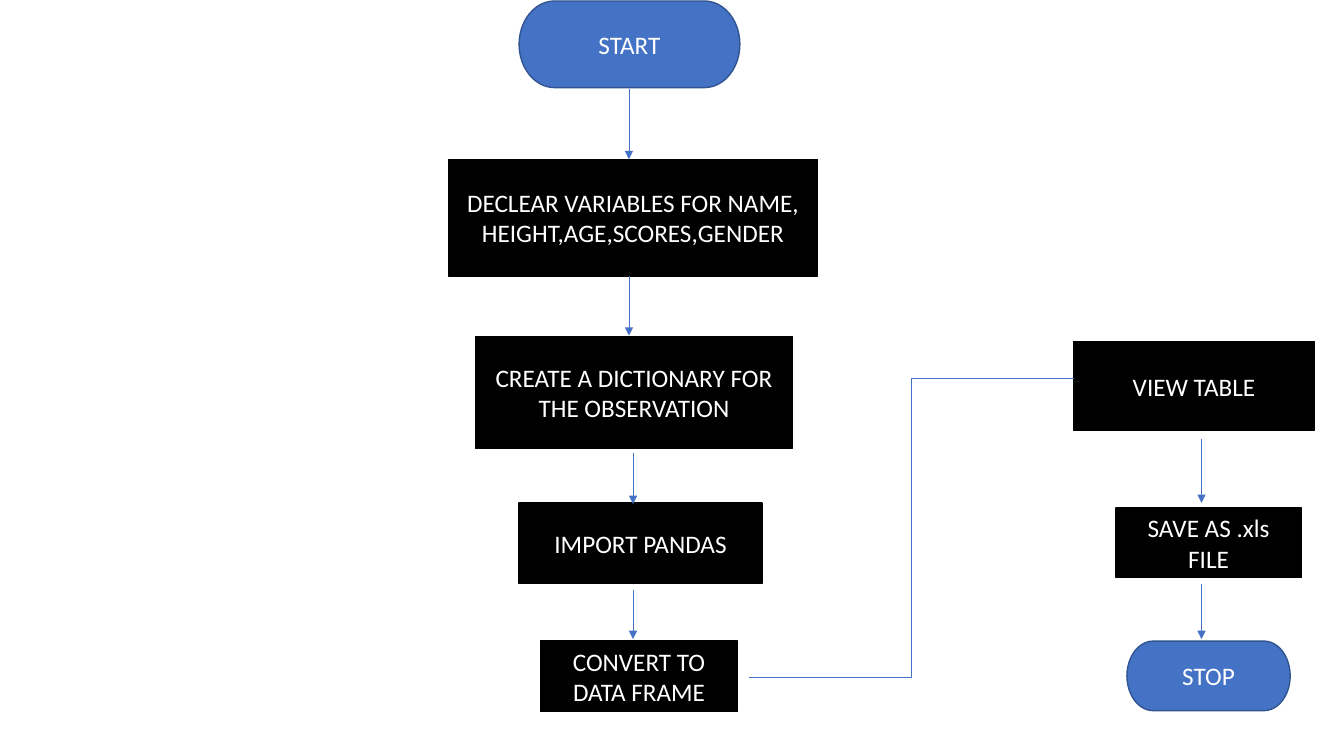
from typing import NamedTuple

from lxml.etree import SubElement
from pptx import Presentation
from pptx.dml.color import RGBColor
from pptx.enum.shapes import MSO_CONNECTOR, MSO_SHAPE
from pptx.enum.text import MSO_ANCHOR, PP_ALIGN
from pptx.oxml.ns import qn
from pptx.shapes.connector import Connector
from pptx.slide import Slide
from pptx.util import Inches, Pt

BLUE = RGBColor(0x44, 0x72, 0xC4)
DARK_BLUE = RGBColor(0x32, 0x54, 0x91)
BLACK = RGBColor(0, 0, 0)
WHITE = RGBColor(255, 255, 255)

# The slide is a grid of 160 columns by 90 rows of square cells.
COLUMNS, ROWS = 160, 90
CELL = Inches(7.5) / ROWS


class Step(NamedTuple):
    """A flowchart box, placed in grid columns and rows."""

    text: str
    left: float
    top: float
    width: float
    height: float
    terminal: bool = False


class Arrow(NamedTuple):
    """A downward arrow in one column, between two rows."""

    column: float
    start_row: float
    end_row: float


STEPS = [
    Step("START", 61.8, 0.12, 26.28, 10.32, terminal=True),
    Step("DECLEAR VARIABLES FOR NAME, HEIGHT,AGE,SCORES,GENDER", 53.4, 18.96, 43.92, 13.92),
    Step("CREATE A DICTIONARY FOR THE OBSERVATION", 56.64, 40.08, 37.68, 13.32),
    Step("IMPORT PANDAS", 61.8, 59.88, 28.92, 9.6),
    Step("CONVERT TO DATA FRAME", 64.32, 76.32, 23.52, 8.4),
    Step("VIEW TABLE", 127.8, 40.68, 28.68, 10.56),
    Step("SAVE AS .xls FILE", 132.84, 60.48, 22.08, 8.28),
    Step("STOP", 134.16, 76.32, 19.44, 8.28, terminal=True),
]
ARROWS = [
    Arrow(74.88, 10.56, 18.96),
    Arrow(74.88, 32.88, 39.96),
    Arrow(75.36, 53.88, 60),
    Arrow(75.36, 70.2, 76.08),
    Arrow(143.04, 52.32, 59.88),
    Arrow(143.04, 69.48, 76.08),
]
FRAME_TO_TABLE = (89.16, 80.64, 127.8, 45)


def cells(*counts: float) -> list[int]:
    """Turn grid counts into slide lengths."""
    return [round(count * CELL) for count in counts]


def draw_step(page: Slide, step: Step) -> None:
    """Draw one box with its centred label."""
    kind = MSO_SHAPE.FLOWCHART_TERMINATOR if step.terminal else MSO_SHAPE.RECTANGLE
    box = page.shapes.add_shape(kind, *cells(step.left, step.top, step.width, step.height))
    box.shadow.inherit = False
    box.fill.solid()
    box.fill.fore_color.rgb = BLUE if step.terminal else BLACK
    box.line.color.rgb = DARK_BLUE if step.terminal else BLACK
    box.line.width = Pt(1)
    frame = box.text_frame
    frame.word_wrap = True
    frame.vertical_anchor = MSO_ANCHOR.MIDDLE
    frame.text = step.text
    para = frame.paragraphs[0]
    para.alignment = PP_ALIGN.CENTER
    para.font.name = "Calibri"
    para.font.size = Pt(18)
    para.font.color.rgb = WHITE


def draw_link(page: Slide, kind: MSO_CONNECTOR, *ends: float) -> Connector:
    """Draw a thin blue connector between two grid points."""
    link = page.shapes.add_connector(kind, *cells(*ends))
    link.line.color.rgb = BLUE
    link.line.width = Pt(0.5)
    SubElement(link._element.spPr, qn("a:effectLst"))
    return link


def draw_arrow(page: Slide, arrow: Arrow) -> None:
    """Draw a straight connector with a triangle at its end."""
    link = draw_link(page, MSO_CONNECTOR.STRAIGHT,
                     arrow.column, arrow.start_row, arrow.column, arrow.end_row)
    SubElement(link.line._get_or_add_ln(), qn("a:tailEnd"), type="triangle")


def main() -> None:
    """Build the flowchart slide and save it."""
    deck = Presentation()
    deck.slide_width, deck.slide_height = cells(COLUMNS, ROWS)
    page = deck.slides.add_slide(deck.slide_layouts[6])
    for step in STEPS:
        draw_step(page, step)
    for arrow in ARROWS:
        draw_arrow(page, arrow)
    draw_link(page, MSO_CONNECTOR.ELBOW, *FRAME_TO_TABLE)
    deck.save("out.pptx")


main()
